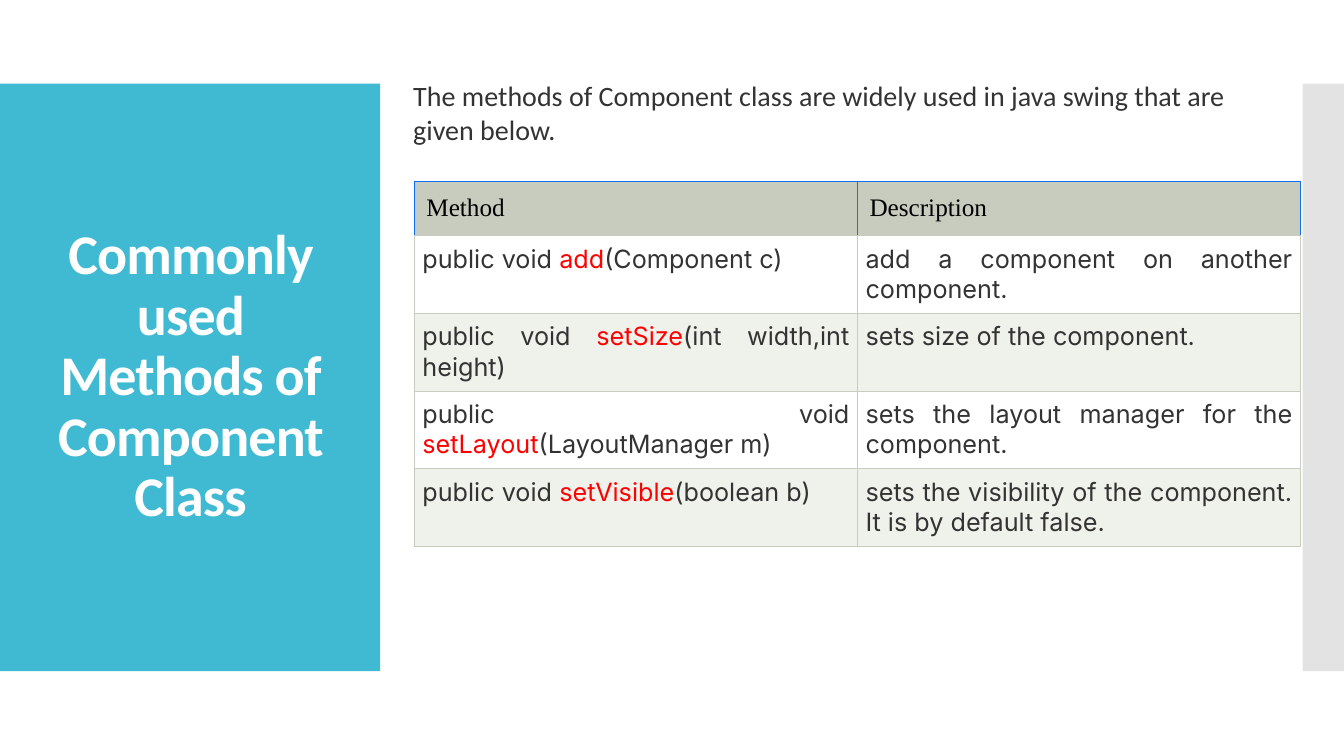
from lxml.etree import SubElement
from pptx import Presentation
from pptx.dml.color import RGBColor
from pptx.enum.shapes import MSO_SHAPE as Shape
from pptx.enum.text import MSO_ANCHOR as Anchor, PP_ALIGN as Align
from pptx.oxml.ns import qn
from pptx.util import Inches, Pt

COLORS = {
    "panel": "40BAD2", "strip": "C8C8C8", "white": "FFFFFF", "text": "333333",
    "black": "000000", "method": "FF0000", "header": "C7CCBE",
    "band": "EFF1EB", "header_edge": "106FF4",
}


def add_span(para, text, size, font, color):
    span = para.add_run()
    span.text = text
    span.font.size = Pt(size)
    span.font.name = font
    span.font.color.rgb = RGBColor.from_string(COLORS[color])
    return span


def style_cell(cell, fill, inset, edges):
    cell.margin_left = cell.margin_right = Inches(inset)
    cell.margin_top = cell.margin_bottom = Inches(inset)
    props = cell._tc.get_or_add_tcPr()
    for side, color in zip(("lnL", "lnR", "lnT", "lnB"), edges):
        line = SubElement(props, qn(f"a:{side}"), w=str(Pt(0.75)))
        solid = SubElement(line, qn("a:solidFill"))
        SubElement(solid, qn("a:srgbClr"), val=COLORS[color])
    cell.fill.solid()
    cell.fill.fore_color.rgb = RGBColor.from_string(COLORS[fill])


deck = Presentation()
deck.slide_width, deck.slide_height = Inches(13.33), Inches(7.5)
page = deck.slides.add_slide(deck.slide_layouts[6])

# Side panels
for left, width, color in ((0, 3.77, "panel"), (12.92, 0.41, "strip")):
    panel = page.shapes.add_shape(
        Shape.RECTANGLE, Inches(left), Inches(0.83), Inches(width), Inches(5.83))
    panel.shadow.inherit = False
    panel.fill.solid()
    panel.fill.fore_color.rgb = RGBColor.from_string(COLORS[color])
    panel.line.fill.background()
    if color == "strip":
        tint = panel.fill._xPr.find(".//" + qn("a:srgbClr"))
        SubElement(tint, qn("a:alpha"), val="50000")

# Title
title = page.shapes.add_textbox(Inches(0.28), Inches(1.23), Inches(3.22), Inches(5.03))
title.text_frame.word_wrap = True
title.text_frame.vertical_anchor = Anchor.MIDDLE
para = title.text_frame.paragraphs[0]
para.alignment = Align.CENTER
para.line_spacing = 0.9
span = add_span(para, "Commonly used Methods of Component Class", 40, "Calibri", "white")
span.font.bold = True
span.font._element.set("spc", "-60")

# Introduction
intro = page.shapes.add_textbox(Inches(4), Inches(0.73), Inches(8.91), Inches(0.77))
intro.text_frame.word_wrap = True
add_span(intro.text_frame.paragraphs[0],
         "The methods of Component class are widely used in java swing that are given below.",
         20, "Calibri", "text")

# Method table
methods = [
    ("add", "(Component c)", "add a component on another component."),
    ("setSize", "(int width,int height)", "sets size of the component."),
    ("setLayout", "(LayoutManager m)", "sets the layout manager for the component."),
    ("setVisible", "(boolean b)",
     "sets the visibility of the component. It is by default false."),
]
table = page.shapes.add_table(
    len(methods) + 1, 2, Inches(4.11), Inches(1.8), Inches(8.79), Inches(3.62)).table
table.rows[0].height = Inches(0.54)

for column, heading in enumerate(("Method", "Description")):
    cell = table.cell(0, column)
    style_cell(cell, "header", 0.12, ["header_edge"] * 3 + ["header"])
    add_span(cell.text_frame.paragraphs[0], heading, 18, "Times New Roman", "black")

for row, (name, arguments, description) in enumerate(methods, start=1):
    table.rows[row].height = Inches(0.77)
    signature = [("public void ", "text"), (name, "method"), (arguments, "text")]
    for column, spans in enumerate((signature, [(description, "text")])):
        cell = table.cell(row, column)
        style_cell(cell, "white" if row % 2 else "band", 0.08, ["header"] * 4)
        para = cell.text_frame.paragraphs[0]
        para.alignment = Align.JUSTIFY
        for text, color in spans:
            add_span(para, text, 18, "Inter", color)

deck.save("out.pptx")
